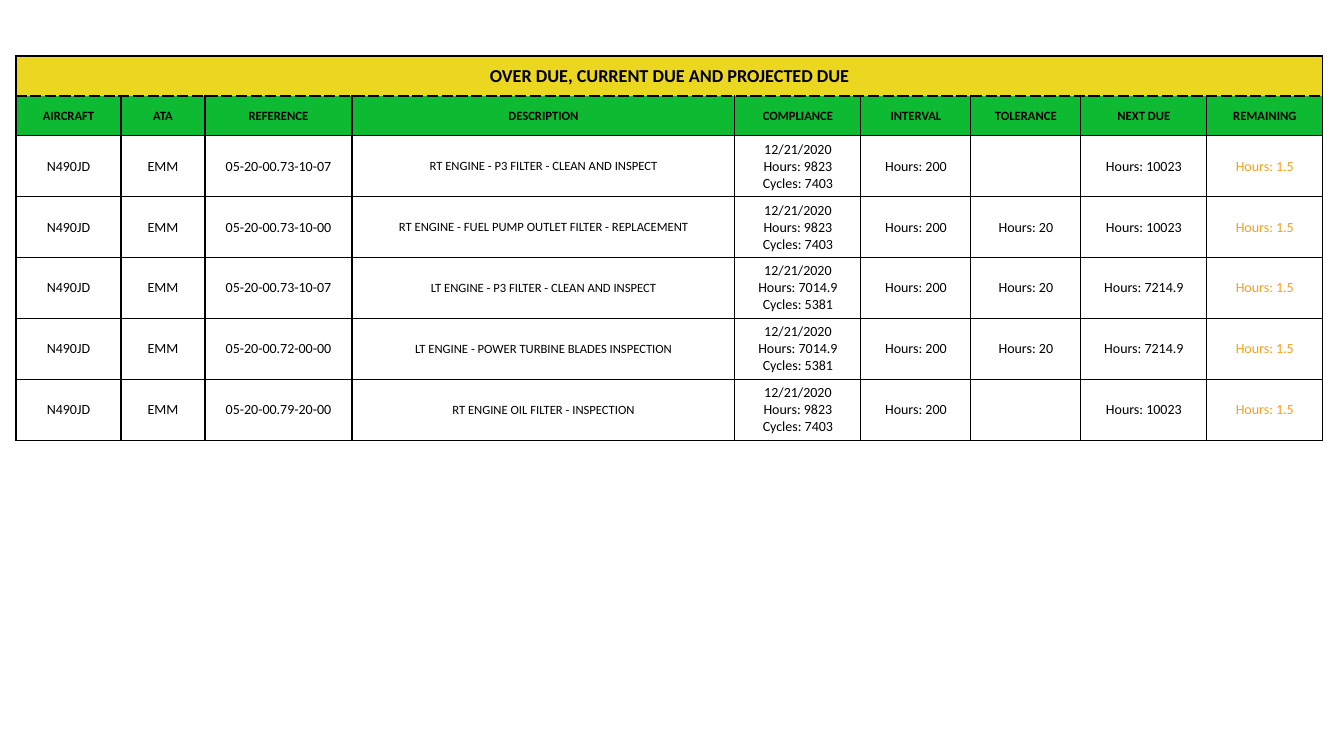
"""Build a slide with the aircraft maintenance due list."""
from dataclasses import dataclass

from lxml.etree import SubElement
from pptx import Presentation
from pptx.dml.color import RGBColor
from pptx.enum.text import MSO_ANCHOR as Anchor, PP_ALIGN as Align
from pptx.oxml import parse_xml
from pptx.oxml.ns import nsdecls, qn
from pptx.util import Pt

TITLE = "OVER DUE, CURRENT DUE AND PROJECTED DUE"
COLUMNS = [
    ("AIRCRAFT", 105), ("ATA", 84), ("REFERENCE", 147), ("DESCRIPTION", 383),
    ("COMPLIANCE", 126), ("INTERVAL", 110), ("TOLERANCE", 110),
    ("NEXT DUE", 126), ("REMAINING", 116),
]
AIRCRAFT, ATA, INTERVAL, REMAINING = "N490JD", "EMM", "Hours: 200", "Hours: 1.5"
RIGHT = ("12/21/2020\nHours: 9823\nCycles: 7403", "Hours: 10023")
LEFT = ("12/21/2020\nHours: 7014.9\nCycles: 5381", "Hours: 7214.9")
TASKS = [
    ("05-20-00.73-10-07", "RT ENGINE - P3 FILTER - CLEAN AND INSPECT", RIGHT, ""),
    ("05-20-00.73-10-00", "RT ENGINE - FUEL PUMP OUTLET FILTER - REPLACEMENT", RIGHT, "Hours: 20"),
    ("05-20-00.73-10-07", "LT ENGINE - P3 FILTER - CLEAN AND INSPECT", LEFT, "Hours: 20"),
    ("05-20-00.72-00-00", "LT ENGINE - POWER TURBINE BLADES INSPECTION", LEFT, "Hours: 20"),
    ("05-20-00.79-20-00", "RT ENGINE OIL FILTER - INSPECTION", RIGHT, ""),
]
SLIDE_W, SLIDE_H = 1344, 735
MARGIN, ROW_H = 16, 40
SPACER_ROW, TITLE_ROW, HEADER_ROW, FIRST_TASK_ROW = range(4)


@dataclass(frozen=True)
class Theme:
    """Colours, opacities and type sizes."""
    font: str = "Calibri"
    ink: str = "000000"
    paper: str = "FFFFFF"
    banner: str = "EAD40E"
    banner_opacity: int = 92
    header: str = "0DBA32"
    warning: str = "F39C12"
    warning_opacity: int = 95
    title_size: int = 13
    small_size: int = 9
    body_size: int = 10


THEME = Theme()


def px(length):
    """Turn pixels into EMU."""
    return round(length * 914400 / 100.8)


def paint(fill, colour, opacity=100):
    """Give a fill a solid colour and an opacity in percent."""
    fill.solid()
    fill.fore_color.rgb = RGBColor.from_string(colour)
    if opacity < 100:
        tint = fill._xPr.find(qn("a:solidFill"))[0]
        SubElement(tint, qn("a:alpha"), val=str(opacity * 1000))


def border(cell, **sides):
    """Draw the four cell borders; each side is (colour, points, dash)."""
    for place, side in enumerate("LRTB"):
        colour, points, dash = sides.get(side, (THEME.ink, 1, "solid"))
        cell._tc.get_or_add_tcPr().insert(place, parse_xml(
            f'<a:ln{side} {nsdecls("a")} w="{Pt(points)}"><a:solidFill>'
            f'<a:srgbClr val="{colour}"/></a:solidFill>'
            f'<a:prstDash val="{dash}"/></a:ln{side}>'))


def write(cell, text, size, bold=False, colour=THEME.ink, opacity=100, inset=(5, 5)):
    """Centre text in a cell, with a line break at each newline."""
    cell.vertical_anchor = Anchor.MIDDLE
    cell.margin_left = cell.margin_right = px(inset[0])
    cell.margin_top = cell.margin_bottom = px(inset[1])
    paragraph = cell.text_frame.paragraphs[0]
    paragraph.alignment = Align.CENTER
    for index, line in enumerate(text.split("\n") if text else []):
        if index:
            paragraph.add_line_break()
        run = paragraph.add_run()
        run.text = line
        run.font.name, run.font.size, run.font.bold = THEME.font, Pt(size), bold
        paint(run.font.fill, colour, opacity)


def build_due_list(slide):
    """Add the due list table to the slide."""
    width = sum(width for _, width in COLUMNS)
    row_count = FIRST_TASK_ROW + len(TASKS)
    due_list = slide.shapes.add_table(
        row_count, len(COLUMNS), px(MARGIN), px(MARGIN), px(width), px(ROW_H * row_count)).table
    due_list.first_row = due_list.horz_banding = False
    for row in due_list.rows:
        row.height = px(ROW_H)

    clear = (THEME.paper, 1, "solid")
    for col, (heading, column_width) in enumerate(COLUMNS):
        due_list.columns[col].width = px(column_width)
        spacer, banner, header = (due_list.cell(row, col) for row in range(FIRST_TASK_ROW))
        spacer.fill.background()
        write(spacer, "", THEME.body_size, inset=(0, 0))
        border(spacer, L=clear, R=clear, T=clear)
        paint(banner.fill, THEME.banner, THEME.banner_opacity)
        border(banner, B=(THEME.ink, 1, "dash"))
        paint(header.fill, THEME.header)
        write(header, heading, THEME.small_size, bold=True)
        border(header, T=(THEME.ink, 2, "dash"))

    title = due_list.cell(TITLE_ROW, 0)
    title.merge(due_list.cell(TITLE_ROW, len(COLUMNS) - 1))
    write(title, TITLE, THEME.title_size, bold=True, inset=(0, 8))

    styles = {
        "REFERENCE": {"inset": (1, 1)},
        "DESCRIPTION": {"inset": (1, 1), "size": THEME.small_size},
        "REMAINING": {"colour": THEME.warning, "opacity": THEME.warning_opacity},
    }
    for row, (reference, description, engine, tolerance) in enumerate(TASKS, FIRST_TASK_ROW):
        compliance, next_due = engine
        entries = (AIRCRAFT, ATA, reference, description, compliance,
                   INTERVAL, tolerance, next_due, REMAINING)
        for col, ((heading, _), entry) in enumerate(zip(COLUMNS, entries)):
            cell = due_list.cell(row, col)
            cell.fill.background()
            write(cell, entry, **{"size": THEME.body_size, **styles.get(heading, {})})
            border(cell)


def main():
    """Create and save the presentation."""
    deck = Presentation()
    deck.slide_width, deck.slide_height = px(SLIDE_W), px(SLIDE_H)
    build_due_list(deck.slides.add_slide(deck.slide_layouts[6]))
    deck.save("out.pptx")


if __name__ == "__main__":
    main()
